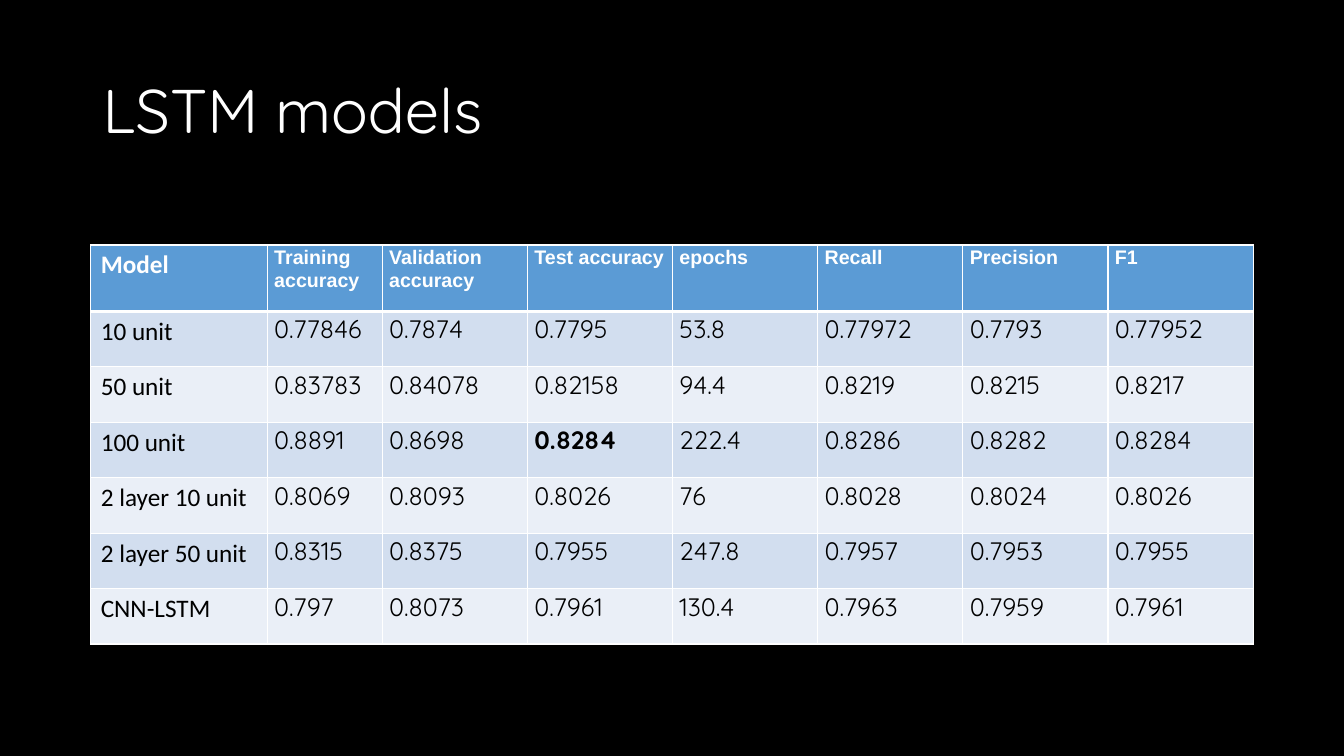
from dataclasses import dataclass

from lxml import etree
from pptx import Presentation
from pptx.dml.color import RGBColor
from pptx.enum.text import MSO_ANCHOR
from pptx.oxml.ns import qn
from pptx.util import Emu, Pt

MIDDLE = MSO_ANCHOR.MIDDLE
TOP = MSO_ANCHOR.TOP
EMU_PER_PX = 9144
SLIDE_SIZE = (1333, 750)
TITLE_BOX = (92, 40, 1150, 145)
TABLE_BOX = (90, 243, 1155, 396)
COLUMN_WIDTHS = [175, 114] + [144] * 6
HEADER_HEIGHT = 66

HEADERS = ["Model", "Training accuracy", "Validation accuracy", "Test accuracy",
           "epochs", "Recall", "Precision", "F1"]
RESULTS = [
    ["10 unit", "0.77846", "0.7874", "0.7795", "53.8", "0.77972", "0.7793", "0.77952"],
    ["50 unit", "0.83783", "0.84078", "0.82158", "94.4", "0.8219", "0.8215", "0.8217"],
    ["100 unit", "0.8891", "0.8698", "0.8284", "222.4", "0.8286", "0.8282", "0.8284"],
    ["2 layer 10 unit", "0.8069", "0.8093", "0.8026", "76", "0.8028", "0.8024", "0.8026"],
    ["2 layer 50 unit", "0.8315", "0.8375", "0.7955", "247.8", "0.7957", "0.7953", "0.7955"],
    ["CNN-LSTM", "0.797", "0.8073", "0.7961", "130.4", "0.7963", "0.7959", "0.7961"],
]
BEST_TEST = (3, 3)


@dataclass(frozen=True)
class Theme:
    """Colours, fonts and type sizes of the slide."""
    background: str = "000000"
    light: str = "FFFFFF"
    dark: str = "000000"
    header: str = "5B9BD5"
    bands: tuple = ("EAEFF7", "D2DEEF")
    display_font: str = "Quicksand"
    model_font: str = "Calibri"
    header_font: str = "Arial"
    title_size: int = 44
    body_size: int = 18
    header_size: int = 14
    rule: int = 1
    header_rule: int = 3


THEME = Theme()


def px(length):
    """Turn whole pixels into EMU."""
    return Emu(length * EMU_PER_PX)


def set_all(target, values):
    """Set each named attribute on the target."""
    for name, value in values.items():
        setattr(target, name, value)


def write(paragraph, text, color, **font_values):
    """Write one run of text in the given font values."""
    run = paragraph.add_run()
    run.text = text
    set_all(run.font, font_values)
    run.font.color.rgb = RGBColor.from_string(color)


def add_border(cell, side, width):
    """Draw one side of a cell as a solid light rule."""
    properties = cell._tc.get_or_add_tcPr()
    line = etree.SubElement(properties, qn(f"a:ln{side}"), w=str(Pt(width)))
    fill = etree.SubElement(line, qn("a:solidFill"))
    etree.SubElement(fill, qn("a:srgbClr"), val=THEME.light)


def fill_cell(cell, row, column, text):
    """Style and write one table cell according to its place."""
    is_header, is_model = row == 0, column == 0
    heavy_side = {0: "B", 1: "T"}.get(row)
    for side in "LRTB":
        add_border(cell, side, THEME.header_rule if side == heavy_side else THEME.rule)
    cell.fill.solid()
    cell.fill.fore_color.rgb = RGBColor.from_string(
        THEME.header if is_header else THEME.bands[row % 2])
    side_margin, end_margin = (10, 5) if is_model else (7, 0)
    set_all(cell, {"margin_left": px(side_margin), "margin_right": px(side_margin),
                   "margin_top": px(end_margin), "margin_bottom": px(end_margin),
                   "vertical_anchor": TOP})
    paragraph = cell.text_frame.paragraphs[0]
    font, size = THEME.model_font, THEME.body_size
    if not is_model:
        set_all(paragraph, {"line_spacing": 1.07, "space_after": Pt(8)})
        font = THEME.header_font if is_header else THEME.display_font
        size = THEME.header_size if is_header else THEME.body_size
    write(paragraph, text, THEME.light if is_header else THEME.dark,
          name=font, size=Pt(size), bold=is_header or (row, column) == BEST_TEST)


def add_title(slide, box, text):
    """Place the slide title in its box."""
    frame = slide.shapes.add_textbox(*map(px, box)).text_frame
    set_all(frame, {"word_wrap": True, "vertical_anchor": MIDDLE})
    heading = frame.paragraphs[0]
    heading.line_spacing = 0.9
    write(heading, text, THEME.light, name=THEME.display_font, size=Pt(THEME.title_size))


def add_results_table(slide, box, rows):
    """Place the model results in a banded table."""
    table = slide.shapes.add_table(len(rows), len(rows[0]), *map(px, box)).table
    for column, width in zip(table.columns, COLUMN_WIDTHS):
        column.width = px(width)
    body_height = (box[3] - HEADER_HEIGHT) // (len(rows) - 1)
    for row, texts in enumerate(rows):
        table.rows[row].height = px(body_height if row else HEADER_HEIGHT)
        for column, text in enumerate(texts):
            fill_cell(table.cell(row, column), row, column, text)


def main():
    """Build and save the slide."""
    presentation = Presentation()
    width, height = map(px, SLIDE_SIZE)
    set_all(presentation, {"slide_width": width, "slide_height": height})
    slide = presentation.slides.add_slide(presentation.slide_layouts[6])
    slide.background.fill.solid()
    slide.background.fill.fore_color.rgb = RGBColor.from_string(THEME.background)
    add_title(slide, TITLE_BOX, "LSTM models")
    add_results_table(slide, TABLE_BOX, [HEADERS] + RESULTS)
    presentation.save("out.pptx")


if __name__ == "__main__":
    main()
